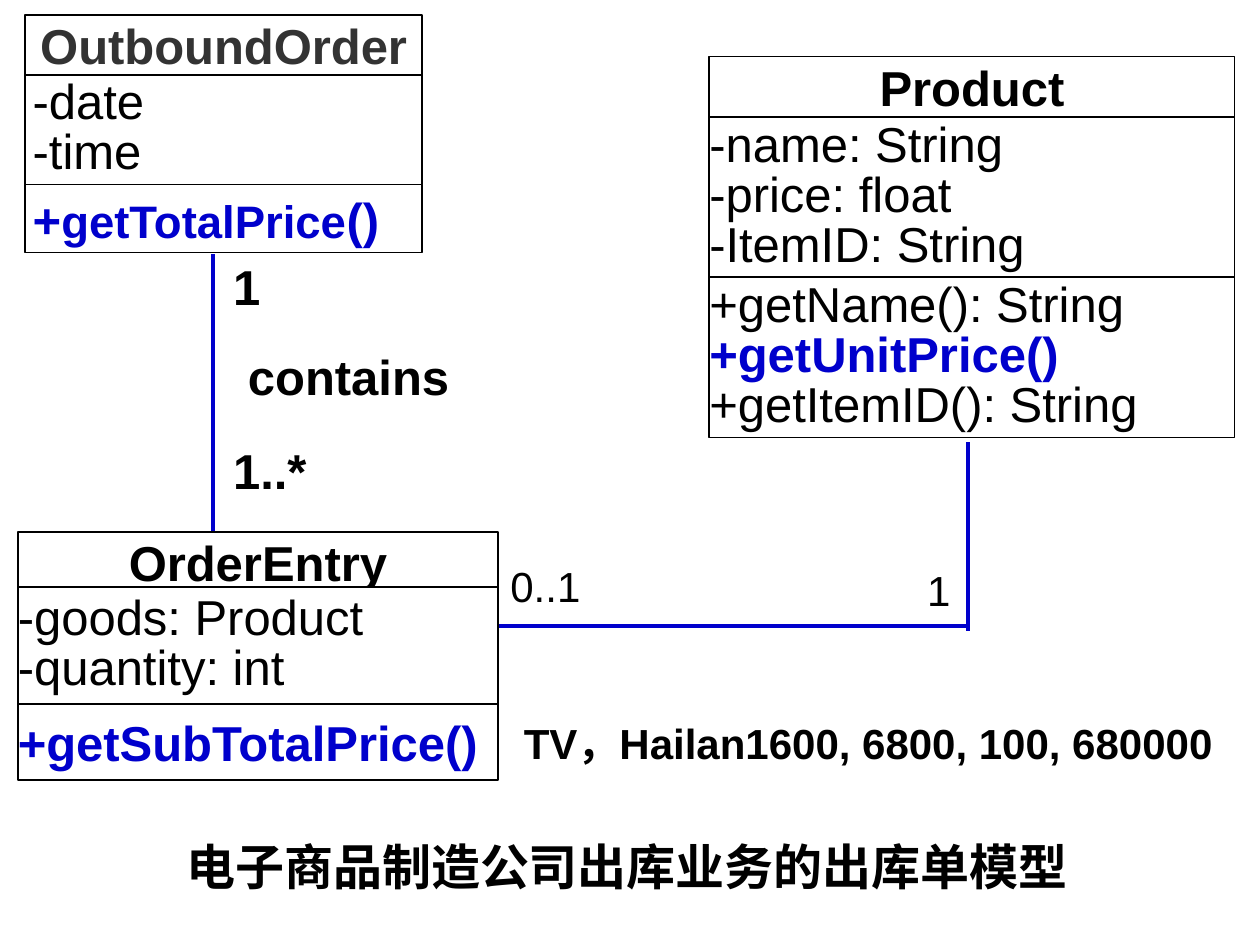
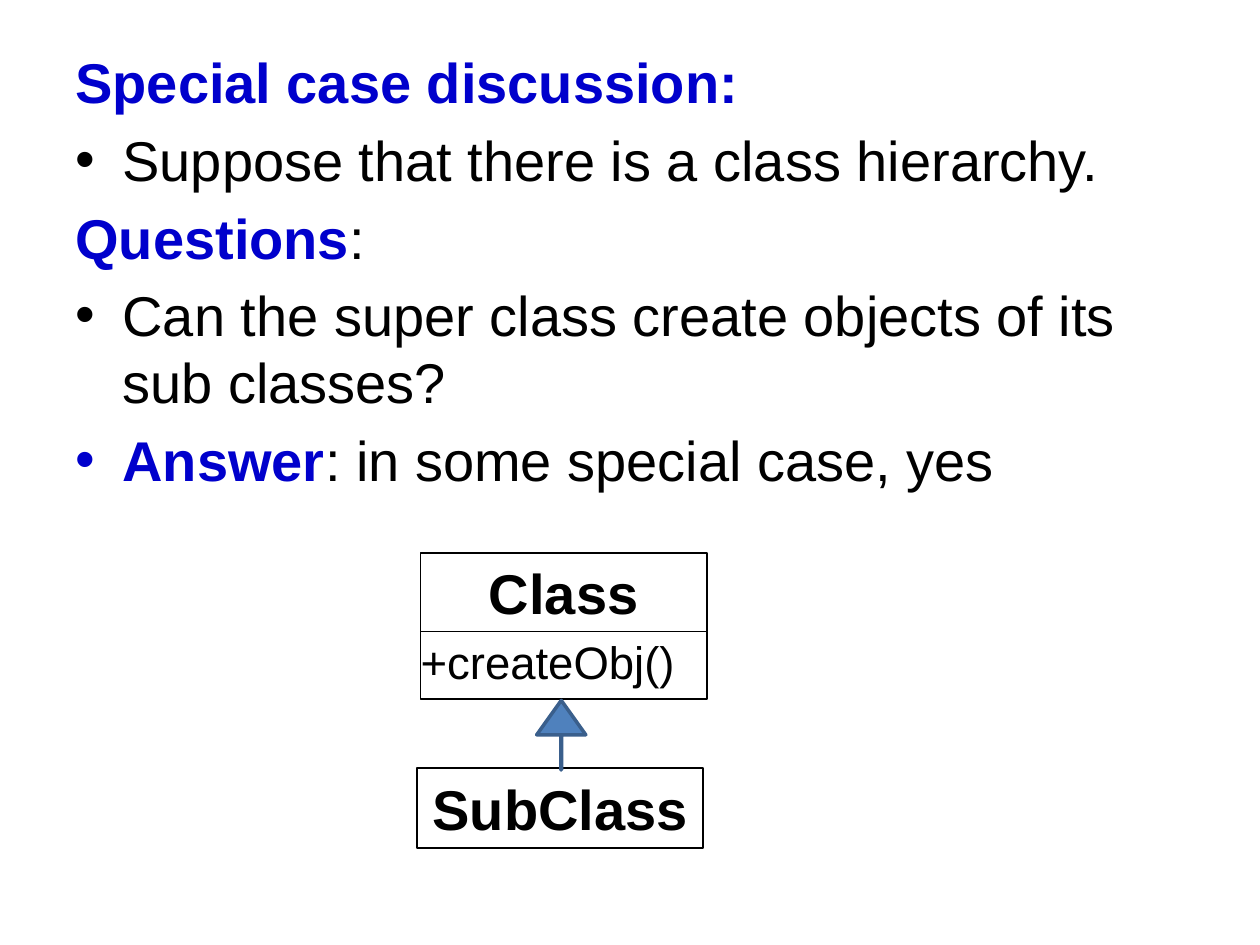
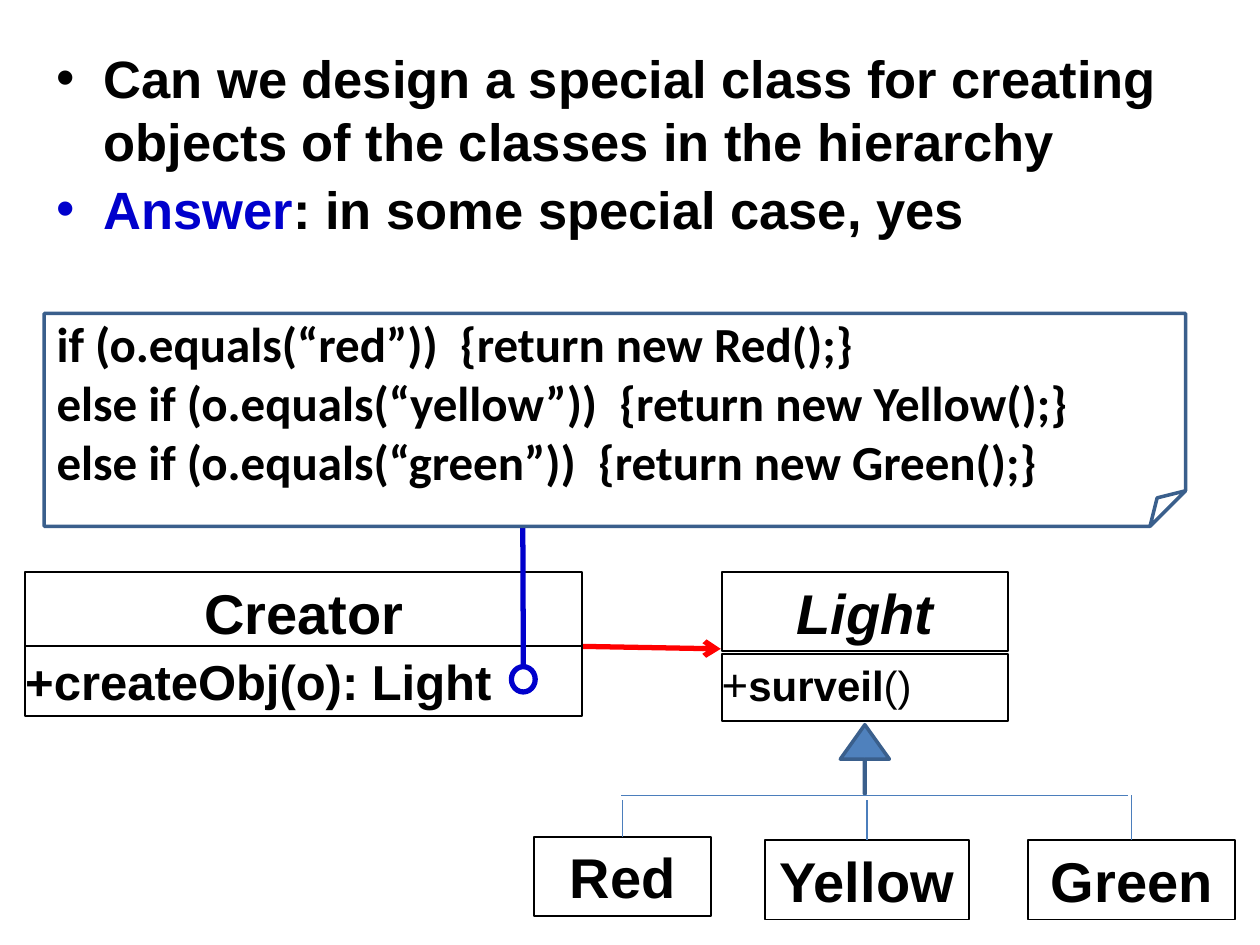
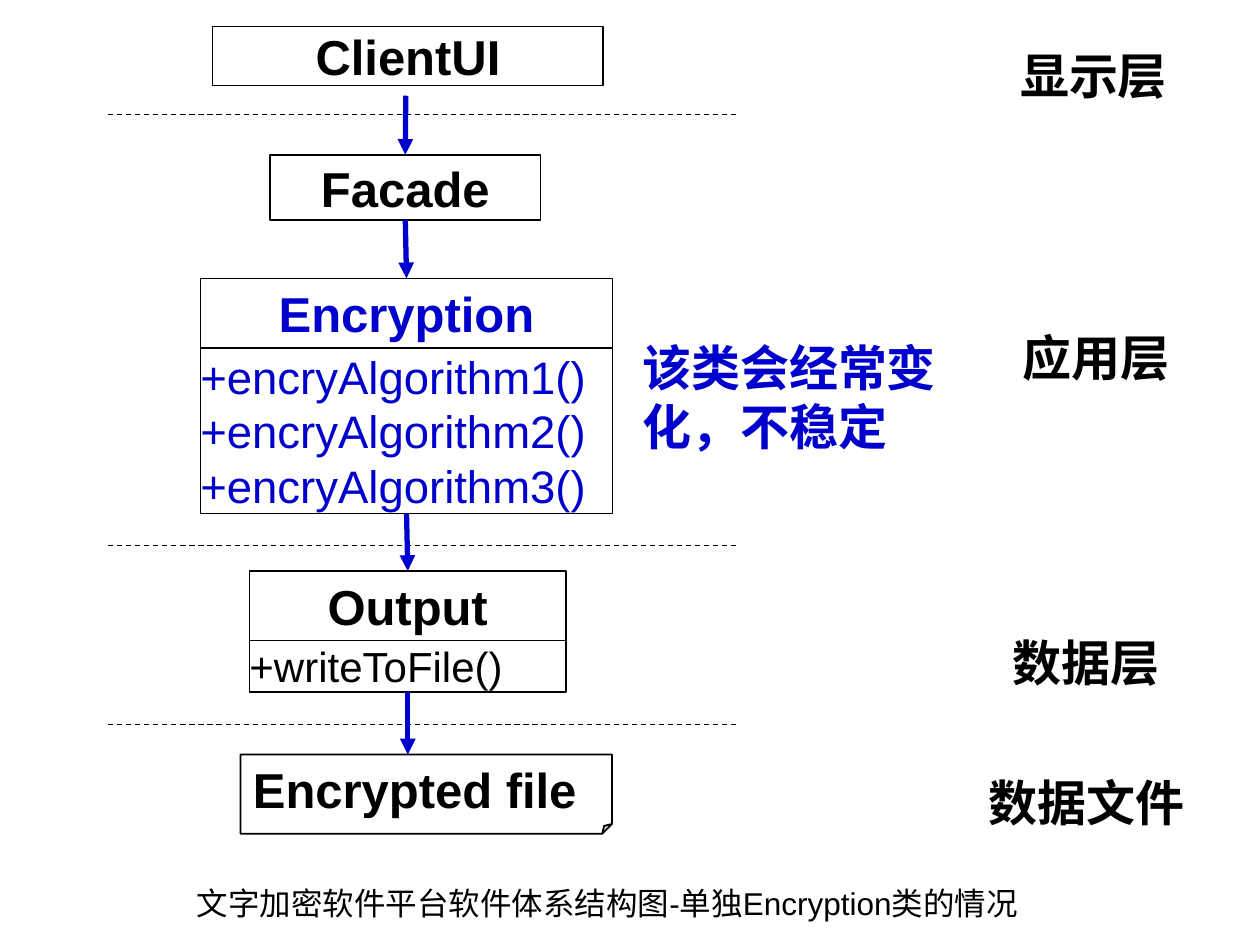
from dataclasses import dataclass
from lxml.etree import SubElement
from pptx import Presentation
from pptx.dml.color import RGBColor
from pptx.enum.dml import MSO_LINE
from pptx.enum.shapes import MSO_CONNECTOR, MSO_SHAPE
from pptx.enum.text import MSO_ANCHOR, PP_ALIGN
from pptx.oxml.ns import qn
from pptx.util import Cm, Pt

COLORS = {
    "black": "000000",
    "gray": "333333",
    "white": "FFFFFF",
    "accent": "0000CC",
    "red": "FF0000",
    "arrow": "4F81BD",
    "arrow_edge": "3A5F8C",
    "branch": "4B7EBC",
}
LATIN = "Arial"
CODE = "Calibri"
CHINESE = "Noto Sans CJK SC"
TOP, BOTTOM = 0, 2
CENTER, JUSTIFY = PP_ALIGN.CENTER, PP_ALIGN.JUSTIFY
TEXT_INSET = (0.25, 0.13)


@dataclass
class Span:
    """A run of text with one look."""
    text: str
    size: float = 28
    color: str = "black"
    bold: bool = False
    italic: bool = False
    font: str = LATIN


@dataclass
class Para:
    """A paragraph made of spans."""
    spans: list
    align: PP_ALIGN = PP_ALIGN.LEFT
    spacing: float = None
    before: float = None
    hanging: bool = False
    bullet: bool = False


@dataclass
class Section:
    """One compartment of a class box."""
    height: float
    paras: list
    inset: tuple = (0, 0)
    gap: float = 0


@dataclass
class Joint:
    """The middle of one side of a shape."""
    shape: object
    site: int


def rgb(name):
    """Return the named colour."""
    return RGBColor.from_string(COLORS[name])


def one(text, align=PP_ALIGN.LEFT, spacing=None, **look):
    """Return a list with one paragraph of one span."""
    return [Para([Span(text, **look)], align, spacing)]


def rows(texts, align=PP_ALIGN.LEFT, spacing=None, **look):
    """Return one paragraph for each text."""
    return [para for text in texts for para in one(text, align, spacing, **look)]


def title(text, **look):
    """Return a bold, centred heading paragraph."""
    return one(text, CENTER, bold=True, **look)


def write_span(target, span):
    """Add one run to a paragraph."""
    run = target.add_run()
    run.text = span.text
    font = run.font
    font.name, font.size = span.font, Pt(span.size)
    font.bold, font.italic = span.bold, span.italic
    font.color.rgb = rgb(span.color)
    if span.font == CHINESE:
        SubElement(run._r.get_or_add_rPr(), qn("a:ea"), typeface=CHINESE)


def write_text(frame, paras, inset=TEXT_INSET, anchor=MSO_ANCHOR.TOP, wrap=True):
    """Fill a text frame with paragraphs."""
    frame.word_wrap = wrap
    frame.vertical_anchor = anchor
    frame.margin_left = frame.margin_right = Cm(inset[0])
    frame.margin_top = frame.margin_bottom = Cm(inset[1])
    for index, para in enumerate(paras):
        target = frame.add_paragraph() if index else frame.paragraphs[0]
        target.alignment = para.align
        if para.spacing:
            target.line_spacing = para.spacing
        if para.before and index:
            target.space_before = Pt(para.before)
        if para.hanging:
            properties = target._p.get_or_add_pPr()
            properties.set("marL", str(Cm(0.95)))
            properties.set("indent", str(-Cm(0.95)))
            if para.bullet:
                SubElement(properties, qn("a:buFont"), typeface=LATIN)
                SubElement(properties, qn("a:buChar"), char="•")
        for span in para.spans:
            write_span(target, span)


def add_text(page, box, paras, **layout):
    """Add a plain text box."""
    area = page.shapes.add_textbox(*map(Cm, box))
    write_text(area.text_frame, paras, **layout)


def add_figure(page, kind, box, fill="white", line="black", width=1):
    """Add a preset shape with the given fill and outline."""
    shape = page.shapes.add_shape(kind, *map(Cm, box))
    shape.shadow.inherit = False
    if fill:
        shape.fill.solid()
        shape.fill.fore_color.rgb = rgb(fill)
    else:
        shape.fill.background()
    if line:
        shape.line.color.rgb = rgb(line)
        shape.line.width = Pt(width)
    else:
        shape.line.fill.background()
    return shape


def add_label(page, box, paras, inset=(0, 0)):
    """Add a white label without outline."""
    label = add_figure(page, MSO_SHAPE.RECTANGLE, box, line=None)
    write_text(label.text_frame, paras, inset)


def add_class(page, corner, width, sections, line_width=1):
    """Stack the compartments of a class box and return them."""
    left, top = corner
    panels = []
    for section in sections:
        top += section.gap
        box = (left, top, width, section.height)
        panel = add_figure(page, MSO_SHAPE.RECTANGLE, box, width=line_width)
        write_text(panel.text_frame, section.paras, section.inset, MSO_ANCHOR.MIDDLE)
        panels.append(panel)
        top += section.height
    return panels


def add_line(page, start, end, color="accent", width=2, dash=None, head=None):
    """Draw a straight line between points or joints."""
    ends = [(0, 0) if isinstance(spot, Joint) else spot for spot in (start, end)]
    line = page.shapes.add_connector(
        MSO_CONNECTOR.STRAIGHT, *(Cm(value) for spot in ends for value in spot))
    if isinstance(start, Joint):
        line.begin_connect(start.shape, start.site)
    if isinstance(end, Joint):
        line.end_connect(end.shape, end.site)
    line.line.color.rgb = rgb(color)
    line.line.width = Pt(width)
    if dash:
        line.line.dash_style = dash
    properties = line._element.spPr
    if head:
        SubElement(properties.find(qn("a:ln")), qn("a:tailEnd"), type=head)
    SubElement(properties, qn("a:effectLst"))


def add_inheritance(page, corner):
    """Add the arrow that points at a parent class."""
    arrow = add_figure(page, MSO_SHAPE.UP_ARROW, (*corner, 0.99, 1.4),
                       "arrow", "arrow_edge", 2)
    arrow.adjustments[0], arrow.adjustments[1] = 0.016, 0.702


def set_fold(note, share):
    """Set the size of the folded corner as a share of the short side."""
    geometry = note._element.spPr.find(qn("a:prstGeom"))
    SubElement(geometry.get_or_add_avLst(), qn("a:gd"),
               name="adj", fmla=f"val {round(share * 100000)}")


def build_order_model(page):
    """Build the class diagram of the outbound order."""
    add_class(page, (14.3, 1.14), 10.59, [
        Section(1.22, title("Product")),
        Section(3.23, rows(["-name: String", "-price: float", "-ItemID: String"],
                           spacing=0.85), (0, 0.08)),
        Section(3.23, one("+getName(): String", spacing=0.85)
                + one("+getUnitPrice()", spacing=0.85, color="accent", bold=True)
                + one("+getItemID(): String", spacing=0.85), (0, 0.08)),
    ])
    total = [Span("+", color="accent", bold=True),
             Span("getTotalPrice", 26, "accent", True),
             Span("()", color="accent", bold=True)]
    add_class(page, (0.51, 0.3), 8, [
        Section(1.21, title("OutboundOrder", color="gray")),
        Section(2.21, rows(["-date", "-time"], spacing=0.85), (0.15, 0.08)),
        Section(1.37, [Para(total)], (0.15, 0.08)),
    ])
    for start, end in [((4.29, 5.13), (4.29, 10.92)),
                       ((10.01, 12.62), (19.51, 12.62)),
                       ((19.51, 8.92), (19.51, 12.73))]:
        add_line(page, start, end)
    for text, box, size, bold in [
        ("1..*", (4.7, 8.89, 2.57, 1.3), 28, True),
        ("1", (4.7, 5.18, 0.71, 1.19), 28, True),
        ("contains", (5, 6.99, 4.11, 1.09), 28, True),
        ("1", (18.69, 11.38, 0.74, 0.99), 24, False),
        ("0..1", (10.29, 11.3, 2.41, 1.02), 24, False),
    ]:
        add_label(page, box, one(text, size=size, bold=bold))
    add_class(page, (0.36, 10.72), 9.68, [
        Section(1.22, title("OrderEntry")),
        Section(2.36, rows(["-goods: Product", "-quantity: int"], spacing=0.85),
                (0, 0.15), -0.1),
        Section(1.52, one("+getSubTotalPrice()", color="accent", bold=True), (0, 0.15)),
    ])
    add_text(page, (10.31, 14.33, 14.61, 1.27),
             one("TV，Hailan1600, 6800, 100, 680000", size=24, bold=True))
    add_text(page, (3.51, 16.74, 18.47, 1.45),
             one("电子商品制造公司出库业务的出库单模型", bold=True, font=CHINESE), wrap=False)


def build_special_case(page):
    """Build the discussion with a parent and one subclass."""
    def item(*spans, bullet=True):
        """Return a hanging paragraph."""
        return Para(list(spans), before=6, hanging=True, bullet=bullet)

    def strong(text):
        """Return a highlighted span."""
        return Span(text, 32, "accent", True)

    add_text(page, (1.27, 0.71, 22.43, 9.6), [
        item(strong("Special case discussion:"), bullet=False),
        item(Span("Suppose that there is a class hierarchy.", 32)),
        item(strong("Questions"), Span(":", 32), bullet=False),
        item(Span("Can the super class create objects of its sub classes?", 32)),
        item(strong("Answer"), Span(": in some special case, yes", 32)),
    ], inset=(0.25, 0.25))
    add_class(page, (8.48, 11.15), 5.77, [
        Section(1.58, title("Class", size=32), (0, 0.1)),
        Section(1.37, one("+createObj()", spacing=0.85, size=26), (0, 0.2)),
    ])
    add_class(page, (8.41, 15.49), 5.77,
              [Section(1.6, title("SubClass", size=32), (0, 0.1))])
    add_inheritance(page, (10.82, 14.12))


def build_light_tree(page):
    """Build the Light class with its three subclasses."""
    method = [Span("+", 26), Span("surveil", 24, bold=True), Span("()", 24)]
    add_class(page, (14.55, 11.53), 5.77, [
        Section(1.6, title("Light", size=32, italic=True), (0, 0.1)),
        Section(1.35, [Para(method, spacing=0.85)], (0, 0.2), 0.05),
    ])
    add_inheritance(page, (16.94, 14.61))
    add_line(page, (12.52, 16.03), (22.73, 16.03), "branch", 0.75)
    for name, left, top, width, start in [("Red", 10.77, 16.87, 3.56, 16.13),
                                          ("Yellow", 15.42, 16.94, 4.11, 16.13),
                                          ("Green", 20.73, 16.94, 4.17, 16.03)]:
        child = add_class(page, (left, top), width,
                          [Section(1.6, title(name, size=32), (0, 0.1))])[0]
        add_line(page, (left + width / 2, start), Joint(child, TOP), "branch", 0.75)


def build_creator(page):
    """Build the special class with its code note."""
    add_text(page, (0.89, 0.71, 23.8, 4.6), [
        Para([Span("Can we design a special class for creating objects of "
                   "the classes in the hierarchy", 30, bold=True)],
             before=3, hanging=True, bullet=True),
        Para([Span("Answer", 30, "accent", True),
              Span(": in some special case, yes", 30, bold=True)],
             before=3, hanging=True, bullet=True),
    ], inset=(0.25, 0.22))
    build_light_tree(page)
    add_line(page, (11.73, 13.03), (14.53, 13.08), "red", 3, head="arrow")
    add_class(page, (0.51, 11.53), 11.23, [
        Section(1.6, title("Creator", size=32), (0, 0.1)),
        Section(1.4, one("+createObj(o): Light", bold=True), (0, 0.1), -0.1),
    ])
    ring = add_figure(page, MSO_SHAPE.OVAL, (10.31, 13.44, 0.48, 0.51),
                      line="accent", width=3)
    add_line(page, Joint(ring, TOP), (10.54, 10.62), width=3)
    note = add_figure(page, MSO_SHAPE.FOLDED_CORNER, (0.89, 6.32, 23.01, 4.29),
                      None, "arrow_edge", 2)
    write_text(note.text_frame, rows([
        "if (o.equals(“red”))  {return new Red();}",
        "else if (o.equals(“yellow”))  {return new Yellow();}",
        "else if (o.equals(“green”))  {return new Green();}",
    ], bold=True, font=CODE), anchor=MSO_ANCHOR.MIDDLE)


def build_encryption_layers(page):
    """Build the layered architecture of the encryption platform."""
    add_class(page, (4.29, 0.53), 7.87, [Section(1.19, title("ClientUI"))], 0.75)
    facade = add_class(page, (5.44, 3.12), 5.46,
                       [Section(1.32, title("Facade"), (0, 0.05))])[0]
    encryption, algorithms = add_class(page, (4.04, 5.61), 8.31, [
        Section(1.41, title("Encryption", color="accent"), (0, 0.1)),
        Section(3.33, rows([f"+encryAlgorithm{number}()" for number in (1, 2, 3)],
                           JUSTIFY, size=26, color="accent")),
    ], 0.75)
    output, writer = add_class(page, (5.03, 11.51), 6.38, [
        Section(1.4, title("Output"), (0, 0.1)),
        Section(1.04, one("+writeToFile()", JUSTIFY, size=24)),
    ], 0.75)
    file_note = add_figure(page, MSO_SHAPE.FOLDED_CORNER, (4.85, 15.21, 7.49, 1.6))
    set_fold(file_note, 0.125)
    write_text(file_note.text_frame, one("Encrypted file", JUSTIFY, bold=True),
               (0.25, 0.1))
    for height in (2.31, 11, 14.6):
        add_line(page, (2.18, height), (14.9, height), "black", 0.75, MSO_LINE.DASH)
    for start, end in [((8.18, 1.93), Joint(facade, TOP)),
                       (Joint(facade, BOTTOM), Joint(encryption, TOP)),
                       (Joint(algorithms, BOTTOM), Joint(output, TOP)),
                       (Joint(writer, BOTTOM), (8.22, 15.21))]:
        add_line(page, start, end, width=3, head="triangle")
    for text, left, top in [("显示层", 19.43, 0.89), ("应用层", 19.48, 6.58),
                            ("数据层", 19.28, 12.73), ("数据文件", 19.28, 15.54)]:
        add_label(page, (left, top, 5.23, 1.25), title(text, font=CHINESE), (0, 0.03))
    add_text(page, (12.7, 6.68, 6.81, 2.64),
             one("该类会经常变化，不稳定", color="accent", bold=True, font=CHINESE))
    add_text(page, (3.71, 17.7, 17.07, 1.02),
             one("文字加密软件平台软件体系结构图-单独Encryption类的情况", CENTER, size=18),
             anchor=MSO_ANCHOR.MIDDLE)


def main():
    """Build the deck and save it."""
    deck = Presentation()
    deck.slide_width, deck.slide_height = Cm(25.4), Cm(19.05)
    blank = deck.slide_layouts[6]
    for build in (build_order_model, build_special_case,
                  build_creator, build_encryption_layers):
        build(deck.slides.add_slide(blank))
    deck.save("out.pptx")


if __name__ == "__main__":
    main()
